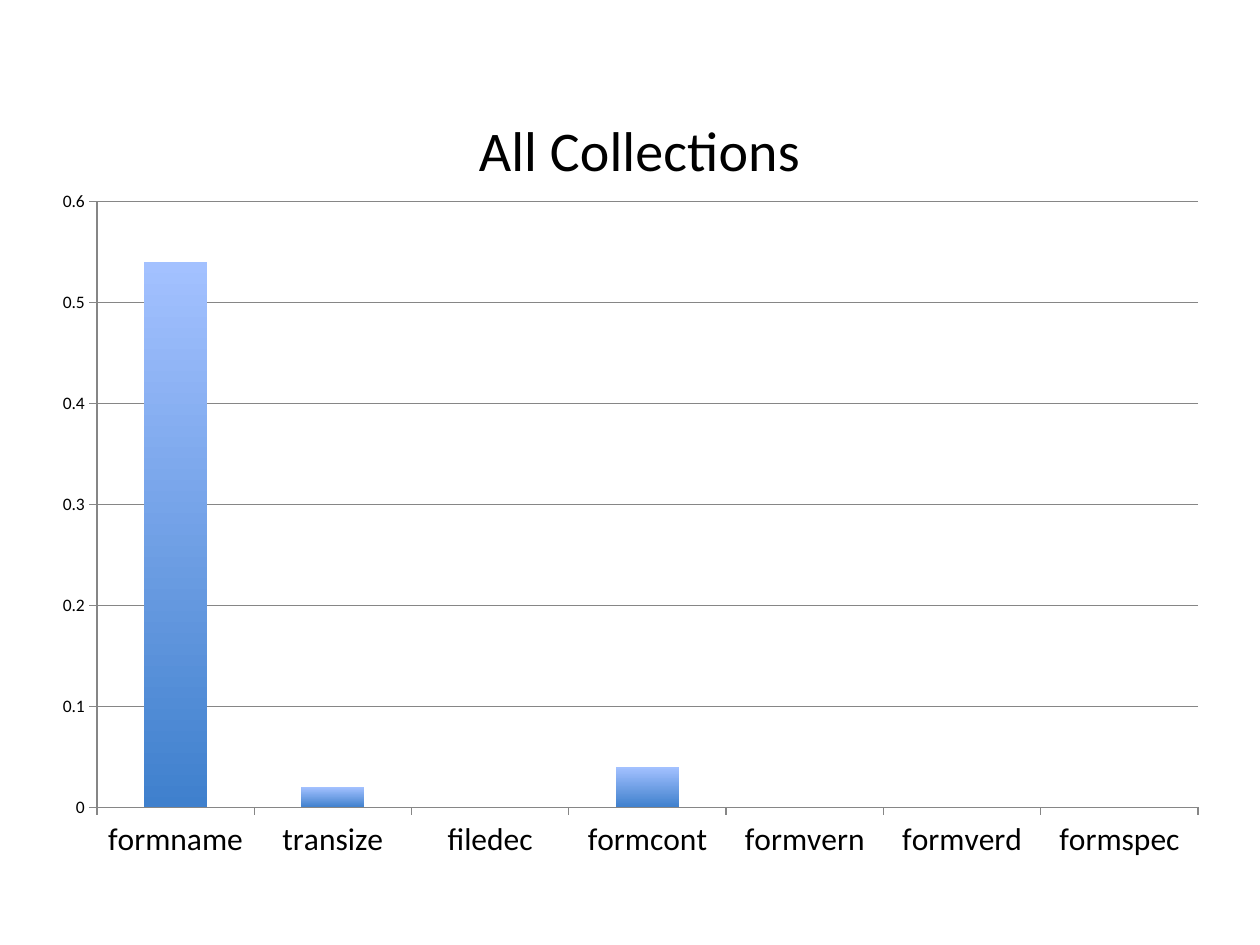
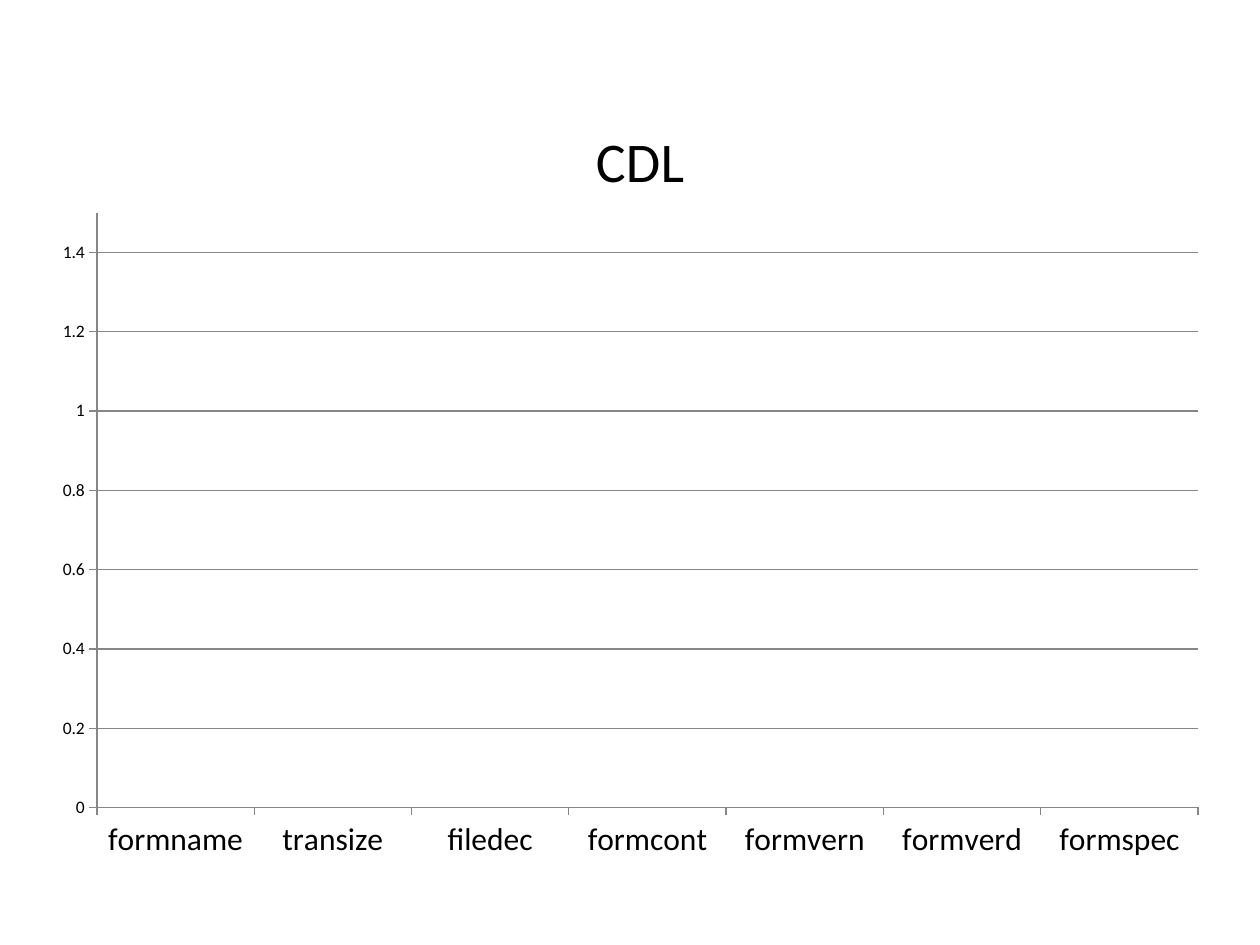
from dataclasses import dataclass

from pptx import Presentation
from pptx import util as u
from pptx.chart import data as cd
from pptx.dml.color import RGBColor
from pptx.enum import chart as ch
from pptx.oxml import parse_xml
from pptx.oxml.ns import nsdecls


@dataclass(frozen=True)
class Theme:
    font: str = "Calibri"
    ink: str = "000000"
    rule: str = "868686"
    base: str = "3F80CD"
    tip: str = "A3C1FF"
    title: int = 32
    label: int = 18
    small: int = 10


THEME = Theme()
LEFT, TOP, WIDTH, HEIGHT = 0.31, 0.56, 9.38, 6.38
PLOT_LEFT, PLOT_WIDTH, PLOT_BASE = 0.77, 8.74, 6.41
FIELDS = ["formname", "transize", "filedec", "formcont",
          "formvern", "formverd", "formspec"]


def style(font, size):
    font.name = THEME.font
    font.size = u.Pt(size)
    font.bold = False
    font.color.rgb = RGBColor.from_string(THEME.ink)


def write(frame, text, size=THEME.small):
    run = frame.paragraphs[0].add_run()
    run.text = text
    style(run.font, size)


def rule(line):
    line.color.rgb = RGBColor.from_string(THEME.rule)
    line.width = u.Pt(0.75)


def layout(left, top, width=None, height=None):
    parts = ['<c:xMode val="edge"/><c:yMode val="edge"/>',
             f'<c:x val="{(left - LEFT) / WIDTH:.4f}"/>',
             f'<c:y val="{(top - TOP) / HEIGHT:.4f}"/>']
    if width:
        parts.insert(0, '<c:layoutTarget val="inner"/>')
        parts.append(f'<c:w val="{width / WIDTH:.4f}"/>')
        parts.append(f'<c:h val="{height / HEIGHT:.4f}"/>')
    return parse_xml(f'<c:layout {nsdecls("c")}><c:manualLayout>'
                     f'{"".join(parts)}</c:manualLayout></c:layout>')


def place(node, box):
    for old in node.findall(box.tag):
        node.remove(old)
    spot = 1 if node.tag.endswith("title") else 0
    node.insert(spot, box)


def add_title(chart, text, left, top):
    chart.has_title = True
    title = chart.chart_title
    write(title.text_frame, text, size=THEME.title)
    title.include_in_layout = False
    place(title._element, layout(left, top))


def set_axes(chart, peak, step):
    cats, vals = chart.category_axis, chart.value_axis
    for axis, size in ((cats, THEME.label), (vals, THEME.small)):
        axis.major_tick_mark = ch.XL_TICK_MARK.OUTSIDE
        axis.minor_tick_mark = ch.XL_TICK_MARK.NONE
        style(axis.tick_labels.font, size)
        rule(axis.format.line)
    vals.minimum_scale, vals.maximum_scale = 0, peak
    vals.major_unit = step
    vals.has_major_gridlines = True
    rule(vals.major_gridlines.format.line)


def paint(chart):
    plot = chart.plots[0]
    plot.gap_width = 150
    plot.vary_by_categories = False
    fill = plot.series[0].format.fill
    fill.gradient()
    fill.gradient_angle = 90
    for stop, tint in zip(fill.gradient_stops, (THEME.base, THEME.tip)):
        stop.color.rgb = RGBColor.from_string(tint)


def add_bars(deck, title, series, values, peak, step, left, top, plot_top):
    slide = deck.slides.add_slide(deck.slide_layouts[6])
    data = cd.CategoryChartData(number_format="General")
    data.categories = FIELDS
    data.add_series(series, values)
    box = [u.Inches(n) for n in (LEFT, TOP, WIDTH, HEIGHT)]
    kind = ch.XL_CHART_TYPE.COLUMN_CLUSTERED
    chart = slide.shapes.add_chart(kind, *box, data).chart
    style(chart.font, THEME.small)
    chart.has_legend = False
    add_title(chart, title, left, top)
    set_axes(chart, peak, step)
    paint(chart)
    area = chart._chartSpace.chart.plotArea
    place(area, layout(PLOT_LEFT, plot_top, PLOT_WIDTH, PLOT_BASE - plot_top))


def main():
    deck = Presentation()
    deck.slide_width, deck.slide_height = u.Inches(10), u.Inches(7.5)
    add_bars(deck, "All Collections", "Series 1",
             [0.54, 0.02, 0, 0.04, 0, 0, 0], peak=0.6, step=0.1,
             left=3.72, top=0.8, plot_top=1.6)
    add_bars(deck, "CDL", "CDL", [0] * len(FIELDS), peak=1.5, step=0.2,
             left=4.65, top=0.89, plot_top=1.69)
    deck.save("out.pptx")


main()
